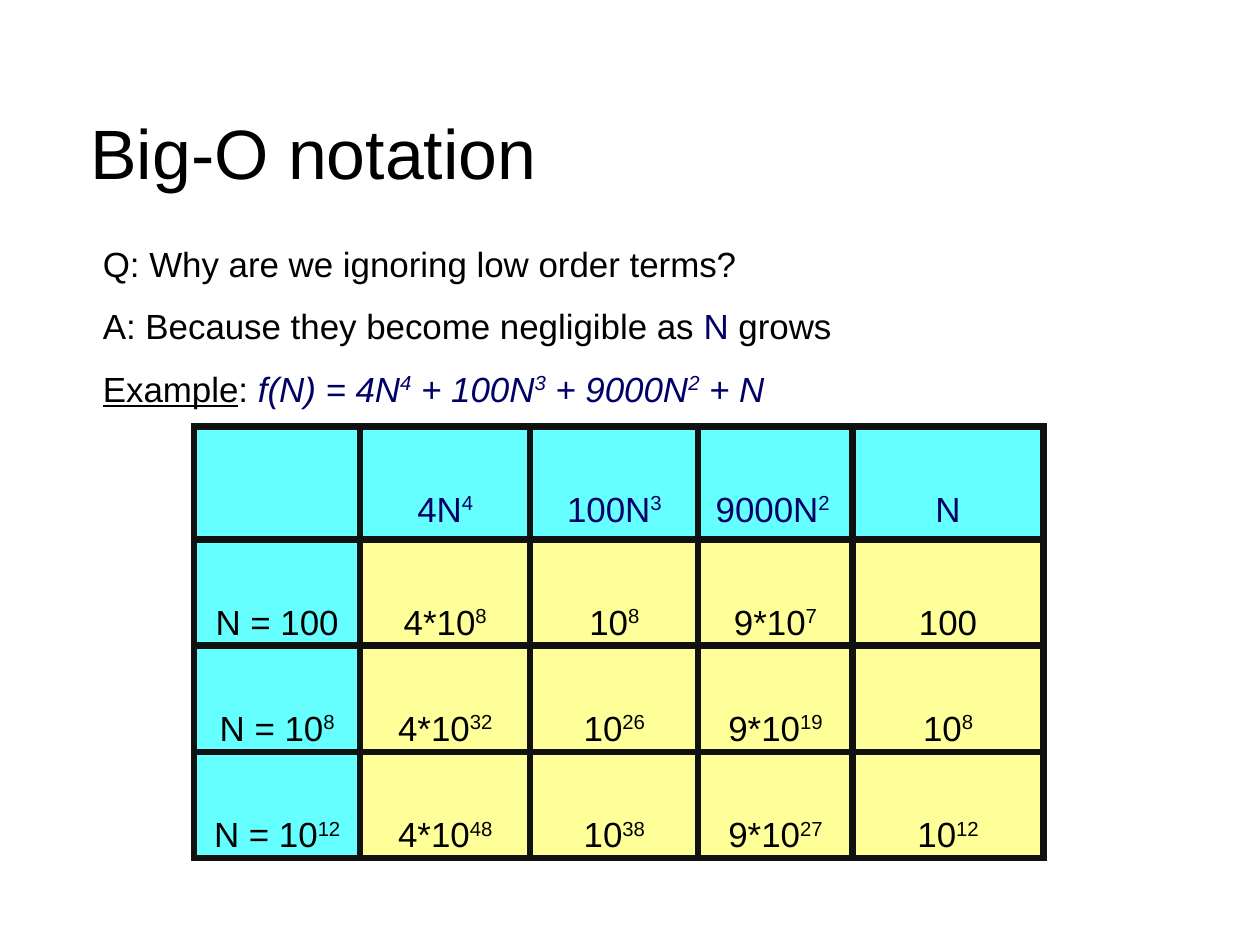
"""Build the Big-O notation slide with its table of growing terms."""
from lxml import etree
from pptx import Presentation
from pptx import util as u
from pptx.dml.color import RGBColor
from pptx.enum import text
from pptx.oxml import ns

BLACK = RGBColor(0x00, 0x00, 0x00)
NAVY = RGBColor(0x00, 0x00, 0x66)
CYAN = RGBColor(0x66, 0xFF, 0xFF)
YELLOW = RGBColor(0xFF, 0xFF, 0x99)
BORDER = RGBColor(0x11, 0x11, 0x11)
CM_PER_INCH = 2.54


def add_runs(paragraph, marked_text, color, size=22, **formats):
    """Add runs, raising every second part between carets."""
    for index, part in enumerate(marked_text.split("^")):
        if not part:
            continue
        run = paragraph.add_run()
        run.text = part
        run.font.color.rgb = color
        for name, value in {"name": "Arial", "size": u.Pt(size), **formats}.items():
            setattr(run.font, name, value)
        if index % 2:
            run._r.get_or_add_rPr().set("baseline", "33000")


def place(shape, left, top, width, height, **frame_formats):
    """Move a placeholder and format its text frame."""
    shape.left, shape.top = u.Inches(left), u.Inches(top)
    shape.width, shape.height = u.Inches(width), u.Inches(height)
    defaults = {"margin_left": 0, "margin_right": 0, "margin_bottom": 0,
                "word_wrap": True, "auto_size": text.MSO_AUTO_SIZE.NONE}
    for name, value in {**defaults, **frame_formats}.items():
        setattr(shape.text_frame, name, value)
    return shape.text_frame


presentation = Presentation()
presentation.slide_width = u.Inches(28 / CM_PER_INCH)
presentation.slide_height = u.Inches(21 / CM_PER_INCH)
slide = presentation.slides.add_slide(presentation.slide_layouts[1])
title, body = slide.placeholders

title_frame = place(title, 0.79, 0.75, 9.25, 1.12, margin_top=u.Inches(0.04),
                    vertical_anchor=text.MSO_ANCHOR.MIDDLE)
title_frame.paragraphs[0].alignment = text.PP_ALIGN.LEFT
add_runs(title_frame.paragraphs[0], "Big-O notation", BLACK, size=44)

body_frame = place(body, 0.79, 2.13, 9.68, 5.26, margin_top=u.Inches(0.02),
                   vertical_anchor=text.MSO_ANCHOR.TOP)
body_lines = [
    [("Q: Why are we ignoring low order terms?", BLACK, {})],
    [("A: Because they become negligible as ", BLACK, {}), ("N", NAVY, {}),
     (" grows", BLACK, {})],
    [("Example", BLACK, {"underline": True}), (": ", BLACK, {}),
     ("f(N) = 4N^4^ + 100N^3^ + 9000N^2^ + N", NAVY, {"italic": True})],
]
for index, line in enumerate(body_lines):
    paragraph = body_frame.add_paragraph() if index else body_frame.paragraphs[0]
    paragraph_formats = {"line_spacing": 0.95, "space_before": u.Pt(0),
                         "space_after": u.Pt(14.2)}
    for name, value in paragraph_formats.items():
        setattr(paragraph, name, value)
    properties = paragraph._p.get_or_add_pPr()
    properties.set("marL", str(u.Inches(0.11)))
    properties.set("indent", "0")
    etree.SubElement(properties, ns.qn("a:buNone"))
    for words, color, formats in line:
        add_runs(paragraph, words, color, **formats)

term_rows = [
    ["", "4N^4", "100N^3", "9000N^2 ", "N"],
    ["N = 100", "4*10^8", "10^8", "9*10^7", "100"],
    ["N = 10^8", "4*10^32", "10^26", "9*10^19", "10^8"],
    ["N = 10^12", "4*10^48", "10^38", "9*10^27", "10^12"],
]
column_widths = [1.45, 1.49, 1.47, 1.35, 1.67]
row_heights = [0.99, 0.92, 0.93, 0.92]
table = slide.shapes.add_table(
    len(row_heights), len(column_widths), u.Inches(1.7), u.Inches(3.73),
    u.Inches(sum(column_widths)), u.Inches(sum(row_heights))).table
table.first_row = table.horz_banding = False
for column, width in zip(table.columns, column_widths):
    column.width = u.Inches(width)
for row, height in zip(table.rows, row_heights):
    row.height = u.Inches(height)

cell_margins = {"margin_left": 0.1, "margin_top": 0.68,
                "margin_right": 0.1, "margin_bottom": 0.05}
for row_index, row_terms in enumerate(term_rows):
    for column_index, term in enumerate(row_terms):
        cell = table.cell(row_index, column_index)
        cell_properties = cell._tc.get_or_add_tcPr()
        for side in ("lnL", "lnR", "lnT", "lnB"):
            border = etree.SubElement(cell_properties, ns.qn(f"a:{side}"), w=str(u.Pt(4.54)))
            border_fill = etree.SubElement(border, ns.qn("a:solidFill"))
            etree.SubElement(border_fill, ns.qn("a:srgbClr"), val=str(BORDER))
        is_heading = row_index == 0 or column_index == 0
        cell.fill.solid()
        cell.fill.fore_color.rgb = CYAN if is_heading else YELLOW
        if term:
            for name, value in cell_margins.items():
                setattr(cell, name, u.Inches(value))
            paragraph = cell.text_frame.paragraphs[0]
            paragraph.alignment = text.PP_ALIGN.CENTER
            paragraph.line_spacing = 0.58
            add_runs(paragraph, term, BLACK if row_index else NAVY)

presentation.save("out.pptx")
